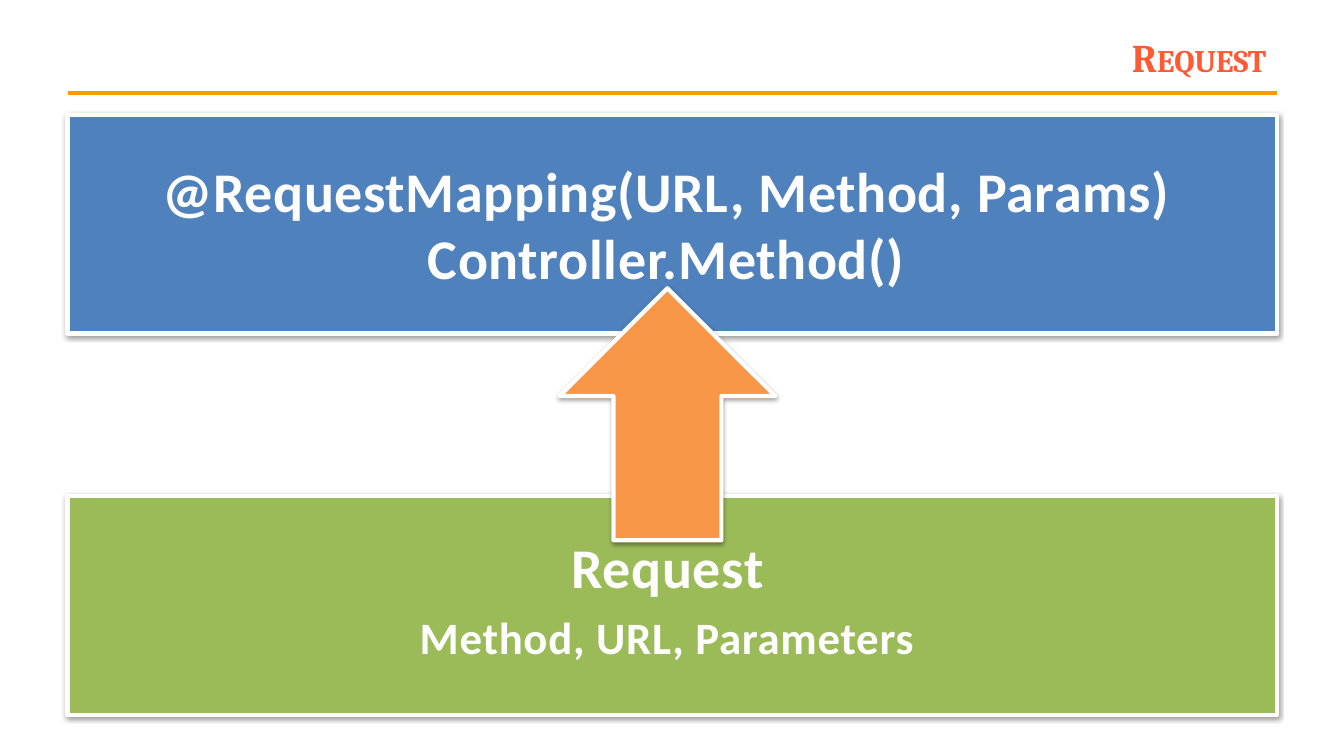
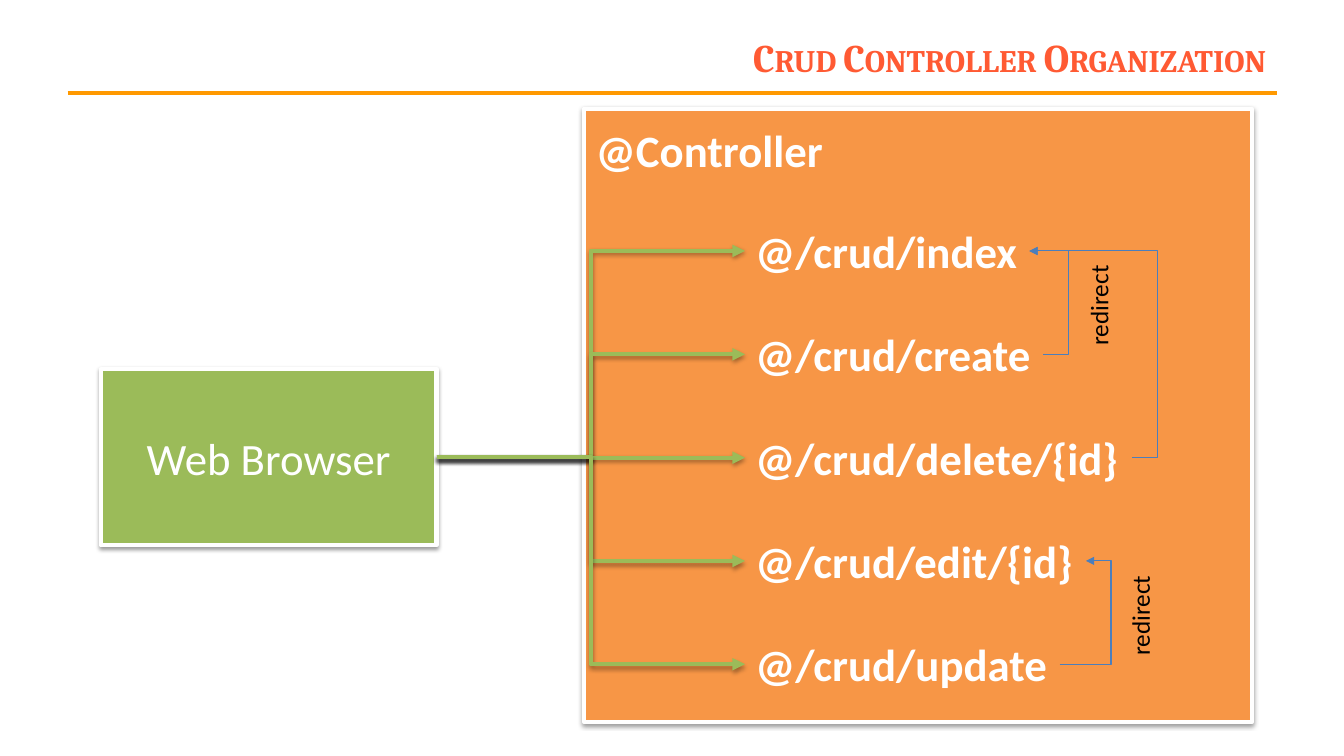
from lxml import etree
from pptx import Presentation
from pptx.dml.color import RGBColor
from pptx.enum.shapes import MSO_CONNECTOR as Connector, MSO_SHAPE as Preset
from pptx.enum.text import MSO_ANCHOR as Anchor, MSO_AUTO_SIZE as AutoSize, PP_ALIGN as Align
from pptx.oxml import parse_xml
from pptx.oxml.ns import nsdecls, qn
from pptx.util import Inches, Pt

COLORS = {
    "title": "FF5A33", "rule": "FF9900", "blue": "4F81BD", "green": "9BBB59",
    "orange": "F79646", "white": "FFFFFF", "bright": "FEFEFE", "black": "000000",
    "redirect": "4B7EBC",
}
TITLE_FONT = {"name": "Cambria", "size": Pt(28), "bold": True}
LABEL_FONT = {"name": "Calibri", "size": Pt(32), "bold": True}
HEADLINE_FONT = {**LABEL_FONT, "size": Pt(40)}
BROWSER_FONT = {**LABEL_FONT, "bold": False}
NOTE_FONT = {"name": "Calibri", "size": Pt(18), "bold": False}

LEFT, RIGHT = 0.67, 12.67
LABEL_HEIGHT = 0.64
ENDPOINT_LEFT, FIRST_TOP, LAST_TOP = 7.39, 2.17, 6.27
ENDPOINTS = {"index": 2.82, "create": 2.96, "delete/{id}": 3.84,
             "edit/{id}": 3.38, "update": 3.12}
REDIRECTS = [("delete/{id}", "index"), ("create", "index"), ("update", "edit/{id}")]
REDIRECT_REACH = 0.25


def rgb(color):
    return RGBColor.from_string(COLORS[color])


def box(left, top, width, height):
    return [Inches(value) for value in (left, top, width, height)]


def format_run(run, font, color):
    for name, value in font.items():
        setattr(run.font, name, value)
    run.font.color.rgb = rgb(color)


def fill_text(shape, text, font, color, align):
    """Write each line of text as its own paragraph and return the runs."""
    frame = shape.text_frame
    frame.text = text
    for paragraph in frame.paragraphs:
        paragraph.alignment = align
        format_run(paragraph.runs[0], font, color)
    return [paragraph.runs[0] for paragraph in frame.paragraphs]


def set_effects(shape, alpha=None, distance=0):
    """Replace the theme's effects with a soft drop shadow, or with none."""
    effects = etree.SubElement(shape.element.spPr, qn("a:effectLst"))
    if alpha:
        shadow = etree.SubElement(effects, qn("a:outerShdw"), blurRad="40000",
                                  dist=str(distance), dir="5400000", rotWithShape="0")
        shade = etree.SubElement(shadow, qn("a:srgbClr"), val=COLORS["black"])
        etree.SubElement(shade, qn("a:alpha"), val=str(alpha * 1000))


def set_line(shape, color, width):
    shape.line.color.rgb = rgb(color)
    shape.line.width = Pt(width)


def add_block(slide, preset, bounds, color):
    block = slide.shapes.add_shape(preset, *box(*bounds))
    block.fill.solid()
    block.fill.fore_color.rgb = rgb(color)
    set_line(block, "white", 3)
    set_effects(block, 38, 20000)
    return block


def add_label(slide, bounds, text, font, color="white", align=Align.LEFT):
    label = slide.shapes.add_textbox(*box(*bounds))
    label.text_frame.word_wrap = False
    label.text_frame.auto_size = AutoSize.SHAPE_TO_FIT_TEXT
    fill_text(label, text, font, color, align)
    return label


def add_decorated_label(slide, bounds, text, font):
    """Add a centred label with spaced, outlined and inner-shadowed letters."""
    label = add_label(slide, bounds, text, font, "bright", Align.CENTER)
    for paragraph in label.text_frame.paragraphs:
        properties = paragraph.runs[0].font.fill and paragraph.runs[0]._r.get_or_add_rPr()
        properties.set("spc", "50")
        properties.insert(0, parse_xml(
            f'<a:ln {nsdecls("a")} w="9525"><a:solidFill>'
            f'<a:srgbClr val="{COLORS["blue"]}"><a:alpha val="6500"/></a:srgbClr>'
            '</a:solidFill></a:ln>'))
        properties.find(qn("a:solidFill")).addnext(parse_xml(
            f'<a:effectLst {nsdecls("a")}>'
            '<a:innerShdw blurRad="50900" dist="38500" dir="13500000">'
            f'<a:srgbClr val="{COLORS["black"]}"><a:alpha val="60000"/></a:srgbClr>'
            '</a:innerShdw></a:effectLst>'))


def add_line(slide, kind, start, end, color, width):
    points = [Inches(value) for value in (*start, *end)]
    line = slide.shapes.add_connector(kind, *points)
    set_line(line, color, width)
    return line


def add_arrowhead(connector):
    outline = connector.element.spPr.find(qn("a:ln"))
    etree.SubElement(outline, qn("a:tailEnd"), type="triangle")


def add_request_arrow(slide, browser, endpoint):
    arrow = add_line(slide, Connector.ELBOW, (0, 0), (1, 1), "green", 3)
    arrow.begin_connect(browser, 3)
    arrow.end_connect(endpoint, 1)
    add_arrowhead(arrow)
    set_effects(arrow, 35, 23000)


def add_redirect(slide, start, end):
    """Draw an elbow arrow that turns to the right of both its ends."""
    arrow = add_line(slide, Connector.ELBOW, start, end, "redirect", 0.75)
    turn = max(start[0], end[0]) + REDIRECT_REACH
    ratio = (turn - start[0]) / (end[0] - start[0])
    guides = arrow.element.spPr.find(qn("a:prstGeom")).get_or_add_avLst()
    etree.SubElement(guides, qn("a:gd"), name="adj1", fmla=f"val {round(ratio * 100000)}")
    add_arrowhead(arrow)
    set_effects(arrow)


def add_titled_slide(presentation, text):
    slide = presentation.slides.add_slide(presentation.slide_layouts[5])
    rule = add_line(slide, Connector.STRAIGHT, (LEFT, 0.92), (RIGHT, 0.92), "rule", 3)
    set_effects(rule)
    title = slide.shapes.title
    title.left, title.top, title.width, title.height = box(2.44, 0.3, 10.22, 0.53)
    run, = fill_text(title, text, TITLE_FONT, "title", Align.RIGHT)
    run._r.get_or_add_rPr().set("cap", "small")
    title.text_frame.vertical_anchor = Anchor.MIDDLE
    title.text_frame.auto_size = AutoSize.NONE
    return slide


def build_request(presentation):
    slide = add_titled_slide(presentation, "Request")
    for top, color in ((1.14, "blue"), (4.92, "green")):
        add_block(slide, Preset.RECTANGLE, (LEFT, top, RIGHT - LEFT, 2.17), color)
    add_decorated_label(slide, (4.04, 6, 5.15, LABEL_HEIGHT),
                        "Method, URL, Parameters", LABEL_FONT)
    add_decorated_label(slide, (5.55, 5.23, 2.14, 0.77), "Request", HEADLINE_FONT)
    add_decorated_label(slide, (1.45, 1.5, 10.32, 1.45),
                        "@RequestMapping(URL, Method, Params)\nController.Method()",
                        HEADLINE_FONT)
    add_block(slide, Preset.UP_ARROW, (5.55, 2.86, 2.14, 2.5), "orange")


def build_crud(presentation):
    slide = add_titled_slide(presentation, "Crud Controller Organization")
    add_block(slide, Preset.RECTANGLE, (5.79, 1.08, 6.63, 6.08), "orange")
    add_label(slide, (5.81, 1.17, 2.48, LABEL_HEIGHT), "@Controller", LABEL_FONT)

    browser = add_block(slide, Preset.RECTANGLE, (1, 3.66, 3.33, 1.75), "green")
    fill_text(browser, "Web Browser", BROWSER_FONT, "white", Align.CENTER)
    browser.text_frame.vertical_anchor = Anchor.MIDDLE

    pitch = (LAST_TOP - FIRST_TOP) / (len(ENDPOINTS) - 1)
    right_ends = {}
    for row, (name, width) in enumerate(ENDPOINTS.items()):
        top = FIRST_TOP + row * pitch
        endpoint = add_label(slide, (ENDPOINT_LEFT, top, width, LABEL_HEIGHT),
                             f"@/crud/{name}", LABEL_FONT)
        right_ends[name] = (ENDPOINT_LEFT + width, top + LABEL_HEIGHT / 2)
        add_request_arrow(slide, browser, endpoint)

    for source, target in REDIRECTS:
        add_redirect(slide, right_ends[source], right_ends[target])
    for left, top in ((10.39, 2.82), (10.8, 5.9)):
        note = add_label(slide, (left, top, 1.01, 0.4), "redirect", NOTE_FONT, "black")
        note.rotation = 270


def main():
    presentation = Presentation()
    presentation.slide_width, presentation.slide_height = Inches(13.33), Inches(7.5)
    build_request(presentation)
    build_crud(presentation)
    presentation.save("out.pptx")


if __name__ == "__main__":
    main()
